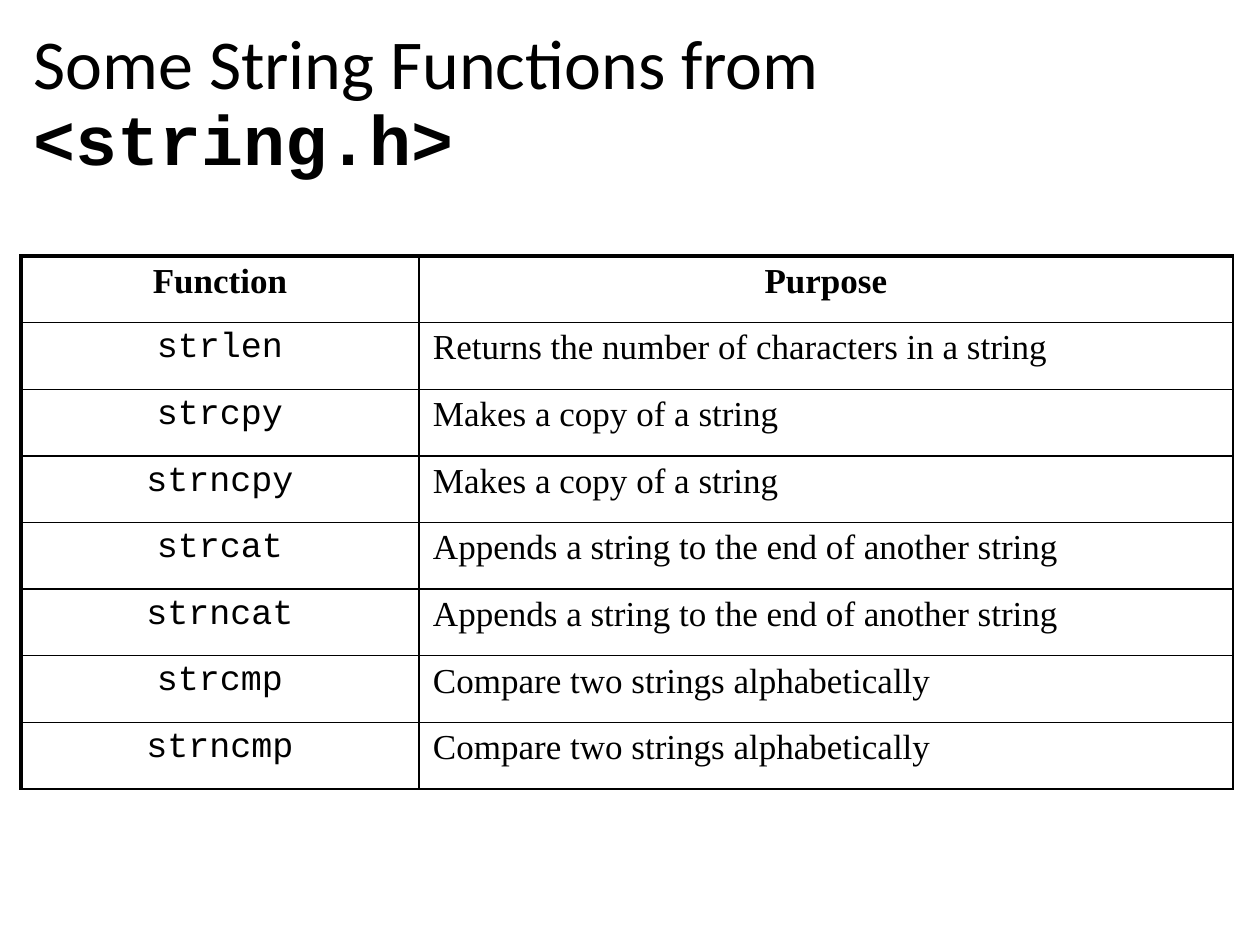
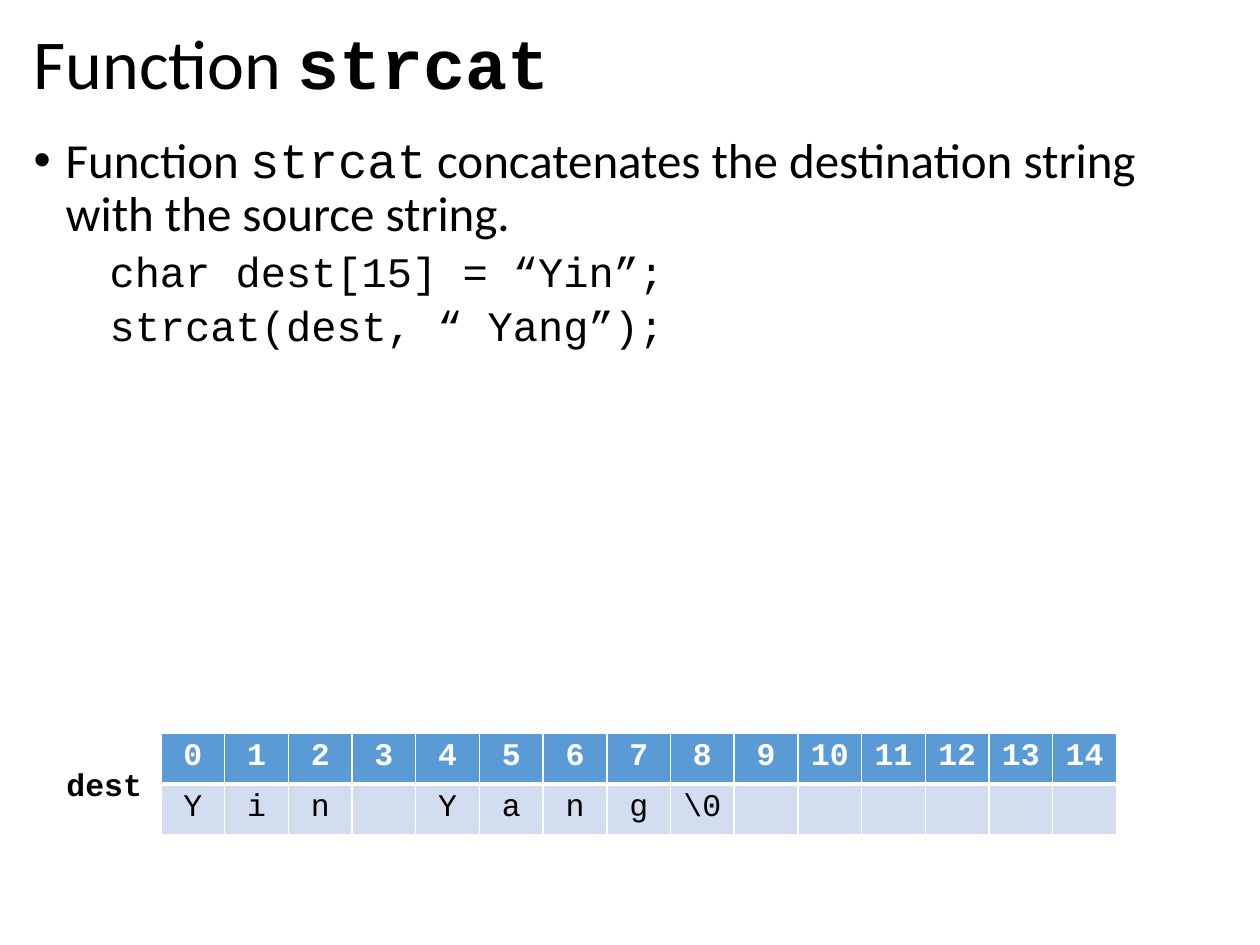
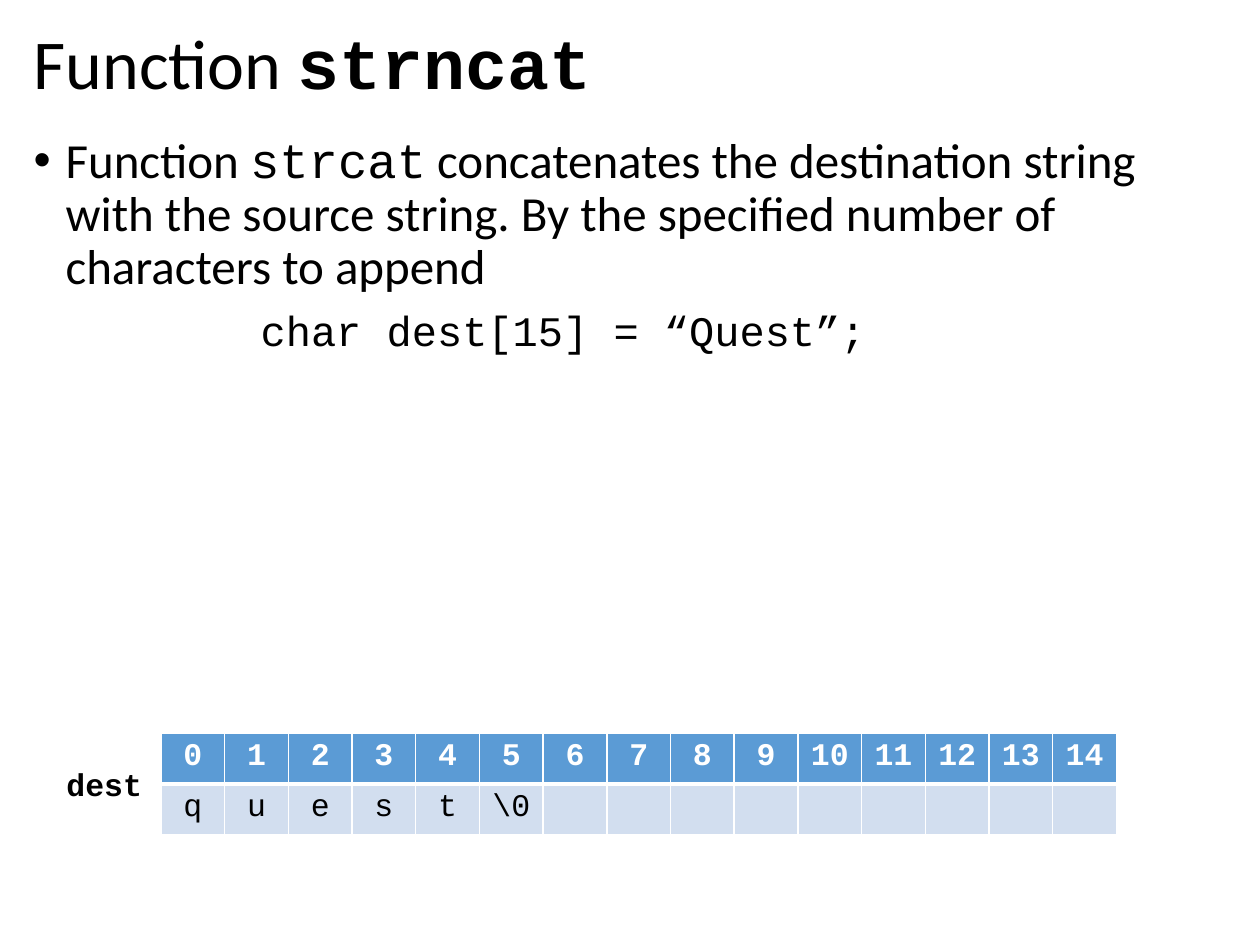
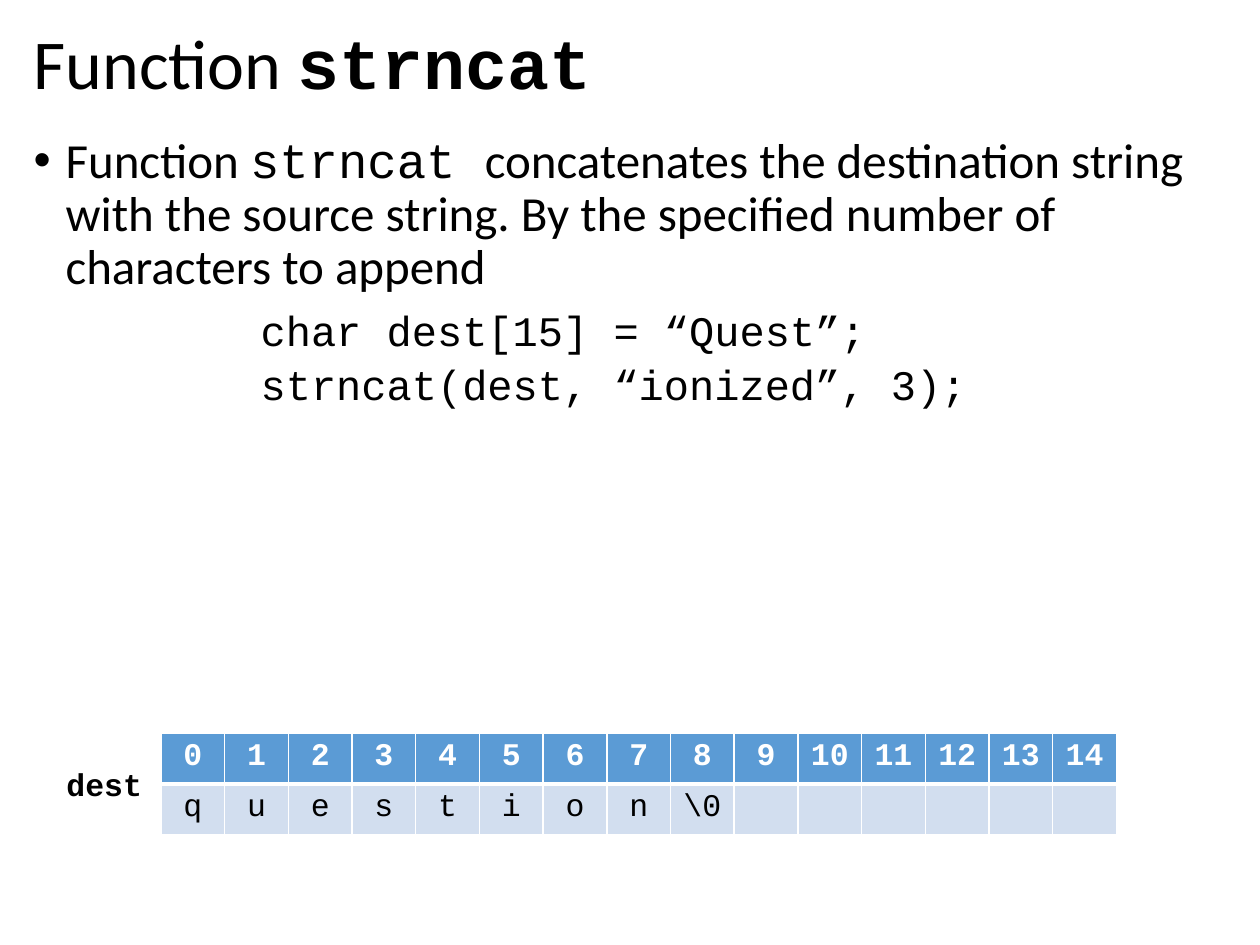
"""Build four slides on the C string functions, with memory tables for strcat and strncat."""
import pptx
import pptx.util
import pptx.dml.color
import pptx.enum.text
import pptx.oxml.ns
import lxml.etree

PIXEL = 7257
BLACK = pptx.dml.color.RGBColor(0x00, 0x00, 0x00)
WHITE = pptx.dml.color.RGBColor(0xFF, 0xFF, 0xFF)
BLUE = pptx.dml.color.RGBColor(0x5B, 0x9B, 0xD5)
PALE_BLUE = pptx.dml.color.RGBColor(0xD2, 0xDE, 0xEF)
SANS, SERIF, MONO = "Calibri", "Times New Roman", "Courier New"
LEFT = pptx.enum.text.PP_ALIGN.LEFT
CENTER = pptx.enum.text.PP_ALIGN.CENTER
LEFT_EDGE, FULL_WIDTH = 21, 1212
TITLE_TOP, TITLE_HEIGHT = 23, 93
BODY_TOP, BODY_HEIGHT = 130, 722
CELL_COUNT = 15


def write(para, pieces, size, color=BLACK, align=LEFT, before=0, spacing=None):
    para.alignment = align
    para.space_before = pptx.util.Pt(before)
    para.line_spacing = spacing
    for text, font, bold in pieces:
        span = para.add_run()
        span.text = text
        span.font.name = font
        span.font.size = pptx.util.Pt(size)
        span.font.bold = bold
        span.font.color.rgb = color


def draw_borders(cell, color, left, right, top, bottom):
    properties = cell._tc.get_or_add_tcPr()
    for side, points in zip("LRTB", (left, right, top, bottom)):
        line = lxml.etree.SubElement(properties, pptx.oxml.ns.qn("a:ln" + side))
        line.set("w", str(pptx.util.Pt(points)))
        fill = lxml.etree.SubElement(line, pptx.oxml.ns.qn("a:solidFill"))
        lxml.etree.SubElement(fill, pptx.oxml.ns.qn("a:srgbClr")).set("val", str(color))


deck = pptx.Presentation()
deck.slide_width = 1260 * PIXEL
deck.slide_height = 945 * PIXEL
body_layout, title_layout = deck.slide_layouts[1], deck.slide_layouts[5]

titles = [
    ("Some String Functions from ", "<string.h>"),
    ("Function ", "strcat"),
    ("Function ", "strncat"),
    ("Function ", "strncat"),
]
pages = []
for number, (plain, code) in enumerate(titles):
    page = deck.slides.add_slide(body_layout if number else title_layout)
    title = page.shapes.title
    title.left, title.top = LEFT_EDGE * PIXEL, TITLE_TOP * PIXEL
    title.width, title.height = FULL_WIDTH * PIXEL, TITLE_HEIGHT * PIXEL
    title.text_frame.auto_size = pptx.enum.text.MSO_AUTO_SIZE.NONE
    title.text_frame.vertical_anchor = pptx.enum.text.MSO_ANCHOR.TOP
    write(title.text_frame.paragraphs[0], [(plain, SANS, False), (code, MONO, True)], 40, spacing=0.9)
    pages.append(page)

functions = [
    ("Function", "Purpose"),
    ("strlen", "Returns the number of characters in a string"),
    ("strcpy", "Makes a copy of a string"),
    ("strncpy", "Makes a copy of a string"),
    ("strcat", "Appends a string to the end of another string"),
    ("strncat", "Appends a string to the end of another string"),
    ("strcmp", "Compare two strings alphabetically"),
    ("strncmp", "Compare two strings alphabetically"),
]
function_table = pages[0].shapes.add_table(
    len(functions), 2, LEFT_EDGE * PIXEL, 256 * PIXEL, FULL_WIDTH * PIXEL, 533 * PIXEL).table
function_table.horz_banding = False
function_table.columns[0].width = 398 * PIXEL
function_table.columns[1].width = 814 * PIXEL
for row, entry in enumerate(functions):
    for column, text in enumerate(entry):
        cell = function_table.cell(row, column)
        cell.margin_left = cell.margin_right = 14 * PIXEL
        cell.margin_top = cell.margin_bottom = 6 * PIXEL
        header = row == 0
        font = MONO if column == 0 and not header else SERIF
        align = CENTER if header or column == 0 else LEFT
        write(cell.text_frame.paragraphs[0], [(text, font, header)], 20, align=align, before=4)
        draw_borders(cell, BLACK, 1 if column else 2.25, 1, 2.25 if header else 1, 1)
        cell.fill.background()

append_rule = "concatenates the destination string with the source string."
limit_rule = " By the specified number of characters to append"
examples = [
    ("strcat", " " + append_rule, 76, 5,
     ["char dest[15] = “Yin”;", "strcat(dest, “ Yang”);"],
     ["Y", "i", "n", "", "Y", "a", "n", "g", "\\0"]),
    ("strcat", " " + append_rule + limit_rule, 227, 8.5,
     ["char dest[15] = “Quest”;"],
     [*"quest", "\\0"]),
    ("strncat ", append_rule + limit_rule, 227, 8.5,
     ["char dest[15] = “Quest”;", "strncat(dest, “ionized”, 3);"],
     [*"question", "\\0"]),
]
for page, (name, rule, code_indent, code_gap, code_lines, characters) in zip(pages[1:], examples):
    body = page.placeholders[1]
    body.left, body.top = LEFT_EDGE * PIXEL, BODY_TOP * PIXEL
    body.width, body.height = FULL_WIDTH * PIXEL, BODY_HEIGHT * PIXEL
    frame = body.text_frame
    frame.auto_size = pptx.enum.text.MSO_AUTO_SIZE.NONE
    para = frame.paragraphs[0]
    write(para, [("Function ", SANS, False), (name, MONO, False), (rule, SANS, False)],
          28, before=10, spacing=0.9)
    properties = para._p.get_or_add_pPr()
    properties.set("marL", str(32 * PIXEL))
    properties.set("indent", str(-32 * PIXEL))
    for position, code in enumerate(code_lines):
        para = frame.add_paragraph()
        para.level = 1
        write(para, [(code, MONO, False)], 24, before=5 if position else code_gap, spacing=0.9)
        properties = para._p.get_or_add_pPr()
        properties.set("marL", str(code_indent * PIXEL))
        properties.set("indent", "0")
        lxml.etree.SubElement(properties, pptx.oxml.ns.qn("a:buNone"))

    memory_table = page.shapes.add_table(
        2, CELL_COUNT, 161 * PIXEL, 733 * PIXEL, 956 * PIXEL, 102 * PIXEL).table
    for index in range(CELL_COUNT):
        content = characters[index] if index < len(characters) else ""
        for row, text in enumerate((str(index), content)):
            cell = memory_table.cell(row, index)
            header = row == 0
            if text:
                write(cell.text_frame.paragraphs[0], [(text, MONO, header)], 18,
                      color=WHITE if header else BLACK, align=CENTER)
            draw_borders(cell, WHITE, 1, 1, 1 if header else 3, 3 if header else 1)
            cell.fill.solid()
            cell.fill.fore_color.rgb = BLUE if header else PALE_BLUE

    label = page.shapes.add_textbox(54 * PIXEL, 759 * PIXEL, 102 * PIXEL, 50 * PIXEL)
    label.text_frame.word_wrap = False
    label.text_frame.auto_size = pptx.enum.text.MSO_AUTO_SIZE.SHAPE_TO_FIT_TEXT
    write(label.text_frame.paragraphs[0], [("dest", MONO, True)], 18)

deck.save("out.pptx")
